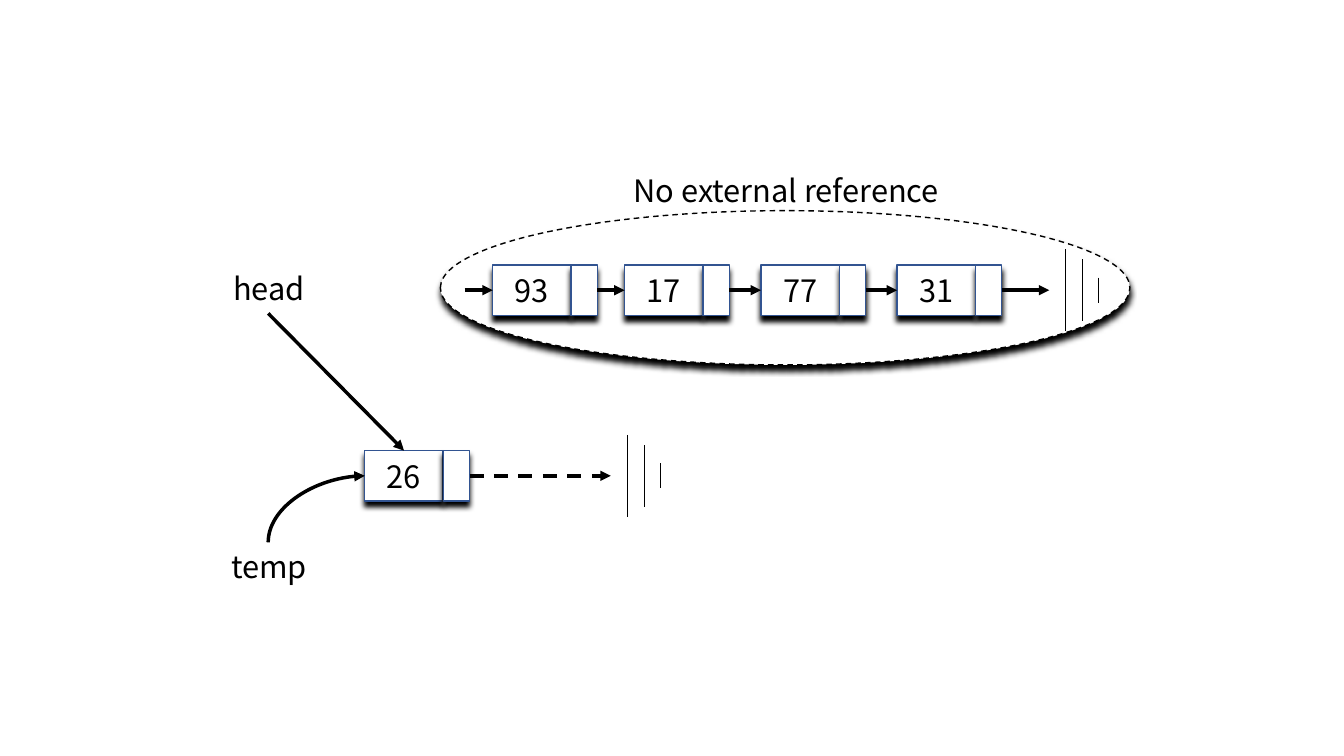
import pptx
import pptx.util
import pptx.dml.color
import pptx.enum.dml
import pptx.enum.shapes
import pptx.enum.text
import pptx.oxml
import pptx.oxml.ns

Pt = pptx.util.Pt
qn = pptx.oxml.ns.qn
KIND = pptx.enum.shapes.MSO_CONNECTOR
FORM = pptx.enum.shapes.MSO_SHAPE
DASH = pptx.enum.dml.MSO_LINE.DASH
FONT, SIZE = "Noto Sans CJK KR", 22
INK, EDGE, PAPER = "000000", "325491", "FFFFFF"
DATA, LINK, TALL = 56, 18.8, 36
TOP, LEFT, RIGHT = 0, 1, 3
SHADOW = (
    f'<a:effectLst {pptx.oxml.ns.nsdecls("a")}>'
    '<a:outerShdw blurRad="50800" dist="50800" dir="5400000" rotWithShape="0">'
    f'<a:srgbClr val="{INK}"/></a:outerShdw></a:effectLst>'
)


def color(code):
    """Turn a hex string into a colour."""
    return pptx.dml.color.RGBColor.from_string(code)


def write(shape, text):
    """Put one centred line of text in a shape."""
    line = shape.text_frame.paragraphs[0]
    line.text = text
    line.alignment = pptx.enum.text.PP_ALIGN.CENTER
    line.font.name = FONT
    line.font.size = Pt(SIZE)
    line.font.color.rgb = color(INK)


def label(slide, text, left, top, width):
    """Add a caption that grows with its text."""
    box = slide.shapes.add_textbox(Pt(left), Pt(top), Pt(width), Pt(33.8))
    box.text_frame.word_wrap = True
    box.text_frame.auto_size = pptx.enum.text.MSO_AUTO_SIZE.SHAPE_TO_FIT_TEXT
    write(box, text)


def block(slide, form, left, top, width, height, edge):
    """Add a white shape with a thin edge and a shadow below."""
    shape = slide.shapes.add_shape(form, Pt(left), Pt(top), Pt(width), Pt(height))
    shape.fill.solid()
    shape.fill.fore_color.rgb = color(PAPER)
    shape.line.color.rgb = color(edge)
    shape.line.width = Pt(1)
    shape.element.spPr.append(pptx.oxml.parse_xml(SHADOW))
    return shape


def wire(slide, start, end, weight=2.5, arrow=True, kind=KIND.STRAIGHT):
    """Add a black line, with an arrowhead at its end if asked."""
    line = slide.shapes.add_connector(kind, *map(Pt, start + end))
    line.line.color.rgb = color(INK)
    line.line.width = Pt(weight)
    props = line.element.spPr
    if arrow:
        pptx.oxml.ns and props.find(qn("a:ln")).append(
            pptx.oxml.parse_xml(f'<a:tailEnd {pptx.oxml.ns.nsdecls("a")} type="triangle"/>'))
    props.append(pptx.oxml.parse_xml(f'<a:effectLst {pptx.oxml.ns.nsdecls("a")}/>'))
    return line


def node(slide, text, left, top):
    """Add a list node and return its data and link cells."""
    data = block(slide, FORM.RECTANGLE, left, top, DATA, TALL, EDGE)
    frame = data.text_frame
    frame.margin_left = frame.margin_right = frame.margin_top = frame.margin_bottom = 0
    frame.vertical_anchor = pptx.enum.text.MSO_ANCHOR.MIDDLE
    write(data, text)
    link = block(slide, FORM.RECTANGLE, left + DATA, top, LINK, TALL, EDGE)
    return data, link


def ground(slide, left, mid):
    """Add the three shrinking bars that end a list."""
    for step, height in ((0, 58.6), (12.4, 44), (23.6, 18)):
        spot = left + step
        wire(slide, (spot, mid - height / 2), (spot, mid + height / 2), 0.5, False)


def orphan(slide, left, top, width, height):
    """Draw the chain that nothing refers to, inside its oval."""
    oval = block(slide, FORM.OVAL, left, top, width, height, INK)
    oval.line.dash_style = DASH
    mid = top + 56.8
    ground(slide, left + 446.2, mid)
    steps = (("93", 37.4), ("17", 131.6), ("77", 229), ("31", 326.2))
    cells = [node(slide, text, left + step, mid - TALL / 2) for text, step in steps]
    first = wire(slide, (left + 17.3, mid), (left + 37.4, mid))
    first.end_connect(cells[0][0], LEFT)
    for (_, link), (data, _) in zip(cells, cells[1:]):
        arrow = wire(slide, (left, mid), (left, mid))
        arrow.begin_connect(link, RIGHT)
        arrow.end_connect(data, LEFT)
    last = wire(slide, (left + 401, mid), (left + 434.9, mid))
    last.begin_connect(cells[-1][1], RIGHT)
    label(slide, "No external reference", left + 113.8, top - 31.7, 266.4)


def front(slide, left, top):
    """Draw the lone node with its head and temp references."""
    base, mid = left + 108, top + 150.5
    data, link = node(slide, "26", base, mid - TALL / 2)
    ground(slide, left + 295.2, mid)
    gap = wire(slide, (base + DATA + LINK, mid), (left + 283.7, mid))
    gap.line.dash_style = DASH
    gap.begin_connect(link, RIGHT)
    label(slide, "head", left, top, 79.2)
    label(slide, "temp", left, top + 198, 79.2)
    stem = left + 39
    head = wire(slide, (stem, top + 34.5), (base + DATA / 2, mid - TALL / 2))
    head.end_connect(data, TOP)
    bend(slide, (stem, top + 198), (base, mid), data)


def bend(slide, start, end, data):
    """Add a quarter curve that leaves upward and enters the data cell."""
    curve = wire(slide, start, end, kind=KIND.CURVE)
    curve.end_connect(data, LEFT)
    width, height = start[1] - end[1], end[0] - start[0]
    curve.left = Pt((start[0] + end[0] - width) / 2)
    curve.top = Pt((start[1] + end[1] - height) / 2)
    curve.width, curve.height = Pt(width), Pt(height)
    props = curve.element.spPr
    props.find(qn("a:prstGeom")).set("prst", "curvedConnector2")
    frame = props.find(qn("a:xfrm"))
    frame.set("rot", "5400000")
    frame.set("flipH", "1")
    frame.set("flipV", "1")


def main():
    """Build the slide and save it."""
    deck = pptx.Presentation()
    deck.slide_width, deck.slide_height = Pt(960), Pt(540)
    slide = deck.slides.add_slide(deck.slide_layouts[6])
    orphan(slide, 314.6, 150.5, 492.5, 110.2)
    front(slide, 152.6, 189.4)
    deck.save("out.pptx")


if __name__ == "__main__":
    main()
